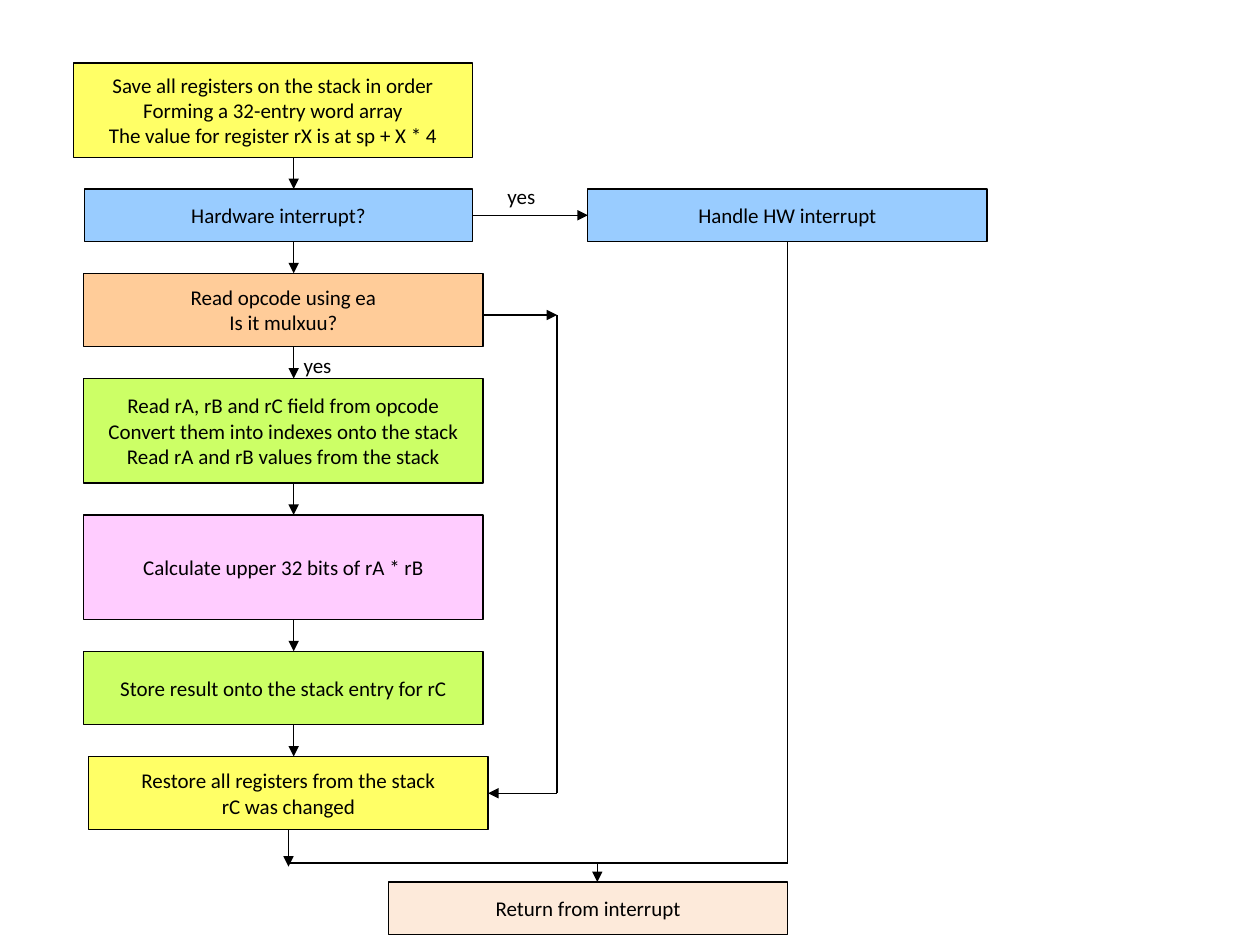
"""Build a flowchart slide of an exception handler that emulates mulxuu."""
from lxml import etree
from pptx import Presentation
from pptx.dml.color import RGBColor
from pptx.enum.shapes import MSO_CONNECTOR, MSO_SHAPE
from pptx.enum.text import MSO_ANCHOR, PP_ALIGN
from pptx.oxml.ns import qn
from pptx.util import Cm, Pt

RECTANGLE = MSO_SHAPE.RECTANGLE
STRAIGHT = MSO_CONNECTOR.STRAIGHT
MIDDLE = MSO_ANCHOR.MIDDLE
LEFT, CENTER = PP_ALIGN.LEFT, PP_ALIGN.CENTER
BOTTOM_SIDE, LEFT_SIDE, RIGHT_SIDE = 2, 1, 3

COLORS = {
    "ink": "000000", "registers": "FFFF66", "hardware": "99CCFF",
    "opcode": "FFCC99", "stack": "CCFF66", "multiply": "FFCCFF",
    "return": "FDEADA",
}
STEP_WIDTH, STEP_GAP, FIRST_TOP = 8.05, 0.64, 1.27
STEPS = [
    ("save", "registers", 1.48, STEP_WIDTH, 1.9,
     ["Save all registers on the stack in order",
      "Forming a 32-entry word array",
      "The value for register rX is at sp + X * 4"]),
    ("check", "hardware", 1.7, 7.83, 1.06, ["Hardware interrupt?"]),
    ("decode", "opcode", 1.69, STEP_WIDTH, 1.48,
     ["Read opcode using ea", "Is it mulxuu?"]),
    ("fields", "stack", 1.69, STEP_WIDTH, 2.11,
     ["Read rA, rB and rC field from opcode",
      "Convert them into indexes onto the stack",
      "Read rA and rB values from the stack"]),
    ("multiply", "multiply", 1.69, STEP_WIDTH, 2.11,
     ["Calculate upper 32 bits of rA * rB"]),
    ("store", "stack", 1.69, STEP_WIDTH, 1.48,
     ["Store result onto the stack entry for rC"]),
    ("restore", "registers", 1.79, STEP_WIDTH, 1.48,
     ["Restore all registers from the stack", "rC was changed"]),
]
HANDLE_LEFT, RETURN_LEFT, RETURN_TOP = 11.85, 7.83, 17.78
YES_LABELS = [(9.98, 3.58), (5.87, 6.99)]
FLOW_X, BYPASS_X, RETURN_X = 5.92, 11.23, 12.04
BYPASS_TOP, MERGE_Y, RESTORE_END = 6.35, 17.4, 17.47


def write_lines(frame, lines, align):
    frame.word_wrap = False
    for index, line in enumerate(lines):
        paragraph = frame.paragraphs[0] if index == 0 else frame.add_paragraph()
        paragraph.alignment = align
        run = paragraph.add_run()
        run.text = line
        run.font.name = "Calibri"
        run.font.size = Pt(12)
        run.font.color.rgb = RGBColor.from_string(COLORS["ink"])


def ink_outline(line):
    line.color.rgb = RGBColor.from_string(COLORS["ink"])
    line.width = Pt(0.75)


def add_step(slide, color, left, top, width, height, lines):
    step = slide.shapes.add_shape(
        RECTANGLE, Cm(left), Cm(top), Cm(width), Cm(height))
    step.shadow.inherit = False
    step.fill.solid()
    step.fill.fore_color.rgb = RGBColor.from_string(COLORS[color])
    ink_outline(step.line)
    step.text_frame.vertical_anchor = MIDDLE
    write_lines(step.text_frame, lines, CENTER)
    return step


def add_flow(slide, start, end, arrow=True):
    flow = slide.shapes.add_connector(STRAIGHT, *map(Cm, start + end))
    ink_outline(flow.line)
    properties = flow.element.spPr
    if arrow:
        outline = properties.find(qn("a:ln"))
        etree.SubElement(outline, qn("a:tailEnd"), type="triangle")
    etree.SubElement(properties, qn("a:effectLst"))
    return flow


def main():
    presentation = Presentation()
    presentation.slide_width, presentation.slide_height = Cm(25.4), Cm(19.05)
    slide = presentation.slides.add_slide(presentation.slide_layouts[6])

    steps, tops, top = {}, {}, FIRST_TOP
    for name, color, left, width, height, lines in STEPS:
        if steps:
            add_flow(slide, (FLOW_X, top - STEP_GAP), (FLOW_X, top))
        steps[name] = add_step(slide, color, left, top, width, height, lines)
        tops[name] = top
        top += height + STEP_GAP

    handle = add_step(slide, "hardware", HANDLE_LEFT, tops["check"],
                      STEP_WIDTH, 1.06, ["Handle HW interrupt"])
    add_step(slide, "return", RETURN_LEFT, RETURN_TOP,
             STEP_WIDTH, 1.06, ["Return from interrupt"])

    check_y = tops["check"] + 0.53
    to_handle = add_flow(slide, (9.53, check_y), (HANDLE_LEFT, check_y))
    to_handle.begin_connect(steps["check"], RIGHT_SIDE)
    to_handle.end_connect(handle, LEFT_SIDE)

    handle_x = HANDLE_LEFT + STEP_WIDTH / 2
    handled = add_flow(slide, (handle_x, 4.87), (handle_x, MERGE_Y), arrow=False)
    handled.begin_connect(handle, BOTTOM_SIDE)

    restore_y = tops["restore"] + 0.74
    add_flow(slide, (9.74, BYPASS_TOP), (BYPASS_X, BYPASS_TOP))
    add_flow(slide, (BYPASS_X, BYPASS_TOP), (BYPASS_X, restore_y), arrow=False)
    bypass = add_flow(slide, (BYPASS_X, restore_y), (9.84, restore_y))
    bypass.end_connect(steps["restore"], RIGHT_SIDE)

    restore_x = 1.79 + STEP_WIDTH / 2
    restored = add_flow(slide, (restore_x, 16.74), (restore_x, RESTORE_END))
    restored.begin_connect(steps["restore"], BOTTOM_SIDE)
    add_flow(slide, (restore_x, MERGE_Y), (handle_x, MERGE_Y), arrow=False)
    add_flow(slide, (RETURN_X, MERGE_Y), (RETURN_X, RETURN_TOP))

    for left, label_top in YES_LABELS:
        label = slide.shapes.add_textbox(
            Cm(left), Cm(label_top), Cm(1.17), Cm(0.76))
        write_lines(label.text_frame, ["yes"], LEFT)

    presentation.save("out.pptx")


if __name__ == "__main__":
    main()
